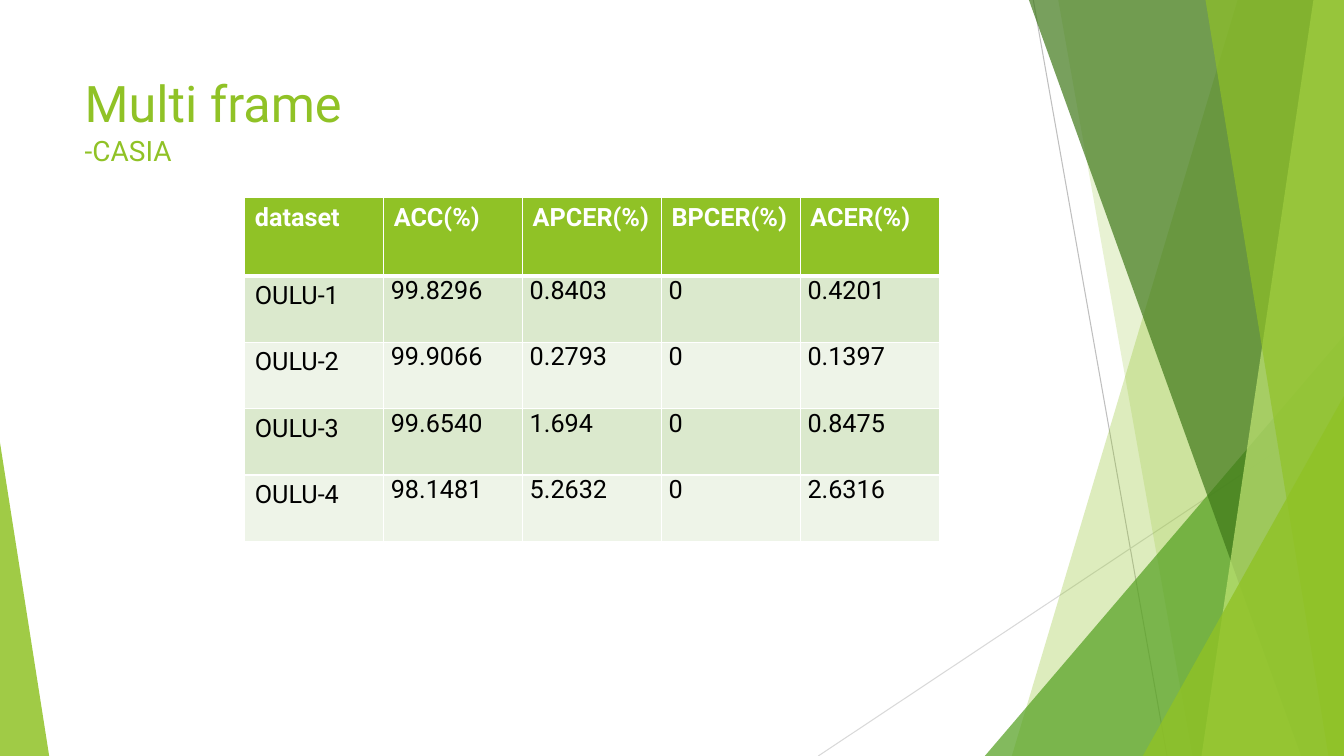
from pptx import Presentation
from pptx.dml.color import RGBColor
from pptx.enum.shapes import MSO_CONNECTOR, MSO_SHAPE
from pptx.enum.text import MSO_ANCHOR, MSO_AUTO_SIZE, PP_ALIGN
from pptx.oxml.ns import qn
from pptx.util import Cm, Pt
from lxml.etree import SubElement

SLIDE_W, SLIDE_H = 33.87, 19.05
FONT = "Roboto"
GREEN, WHITE, BLACK = "90C226", "FFFFFF", "000000"
BANDS = ["DBE9CD", "EEF4E8"]
RESULTS = [
    ["dataset", "ACC(%)", "APCER(%)", "BPCER(%)", "ACER(%)"],
    ["OULU-1", "99.8296", "0.8403", "0", "0.4201"],
    ["OULU-2", "99.9066", "0.2793", "0", "0.1397"],
    ["OULU-3", "99.6540", "1.694", "0", "0.8475"],
    ["OULU-4", "98.1481", "5.2632", "0", "2.6316"],
]


def rgb(color):
    return RGBColor.from_string(color)


def paint(shape, color, opacity):
    shape.shadow.inherit = False
    shape.line.fill.background()
    shape.fill.solid()
    shape.fill.fore_color.rgb = rgb(color)
    tint = shape.fill._xPr.find(qn("a:solidFill"))[0]
    SubElement(tint, qn("a:alpha"), val=str(opacity * 1000))


def add_ray(slide, start, end, color):
    ray = slide.shapes.add_connector(
        MSO_CONNECTOR.STRAIGHT, *[Cm(value) for value in start + end])
    ray.line.color.rgb = rgb(color)
    ray.line.width = Pt(0.75)
    SubElement(ray._element.spPr, qn("a:effectLst"))


def add_facet(slide, top_x, bottom_x, color, opacity):
    """Slanted panel that reaches the right edge of the slide."""
    builder = slide.shapes.build_freeform(Cm(top_x), 0)
    corners = [(SLIDE_W, 0), (SLIDE_W, SLIDE_H), (bottom_x, SLIDE_H)]
    builder.add_line_segments([(Cm(x), Cm(y)) for x, y in corners], close=True)
    paint(builder.convert_to_shape(), color, opacity)


def add_corner(slide, left, top, width, apex, color, opacity):
    """Right-angled triangle that stands on the bottom edge."""
    corner = slide.shapes.add_shape(
        MSO_SHAPE.ISOSCELES_TRIANGLE,
        Cm(left), Cm(top), Cm(width), Cm(SLIDE_H - top))
    corner.adjustments[0] = apex
    paint(corner, color, opacity)


def add_run(paragraph, text, size, color, bold=False):
    run = paragraph.add_run()
    run.text = text
    run.font.name = FONT
    run.font.size = Pt(size)
    run.font.bold = bold
    run.font.color.rgb = rgb(color)


def fill_title(slide, heading, subheading):
    title = slide.shapes.title
    title.left, title.top = Cm(1.88), Cm(1.7)
    title.width, title.height = Cm(23.88), Cm(3.66)
    frame = title.text_frame
    frame.auto_size = MSO_AUTO_SIZE.NONE
    frame.vertical_anchor = MSO_ANCHOR.TOP
    line = frame.paragraphs[0]
    line.alignment = PP_ALIGN.LEFT
    add_run(line, heading, 36, GREEN)
    line.add_line_break()
    add_run(line, subheading, 20, GREEN)


def add_borders(cell, top, bottom):
    properties = cell._tc.get_or_add_tcPr()
    for side, width in [("L", 1), ("R", 1), ("T", top), ("B", bottom)]:
        border = SubElement(properties, qn(f"a:ln{side}"), w=str(Pt(width)))
        SubElement(SubElement(border, qn("a:solidFill")),
                   qn("a:srgbClr"), val=WHITE)


def fill_cell(cell, text, row, column):
    header = row == 0
    add_borders(cell, top=3 if row == 1 else 1, bottom=3 if header else 1)
    cell.fill.solid()
    cell.fill.fore_color.rgb = rgb(GREEN if header else BANDS[(row - 1) % 2])
    if not header and column > 0:
        cell.margin_left = cell.margin_right = Cm(0.18)
        cell.margin_top = cell.margin_bottom = 0
    add_run(cell.text_frame.paragraphs[0], text, 18,
            WHITE if header else BLACK, bold=header)


def add_results(slide, rows):
    count = len(rows[0])
    heights = [1.98] + [1.67] * (len(rows) - 1)
    results = slide.shapes.add_table(
        len(rows), count, Cm(6.17), Cm(4.98),
        Cm(3.5 * count), Cm(sum(heights))).table
    for column in results.columns:
        column.width = Cm(3.5)
    for r, values in enumerate(rows):
        results.rows[r].height = Cm(heights[r])
        for c, value in enumerate(values):
            fill_cell(results.cell(r, c), value, r, c)


def add_backdrop(slide):
    add_ray(slide, (26.04, 0), (29.41, SLIDE_H), "BFBFBF")
    add_ray(slide, (SLIDE_W, 10.24), (20.62, SLIDE_H), "D9D9D9")
    add_facet(slide, 31.19, 25.5, GREEN, 30)
    add_facet(slide, 26.67, 30.05, GREEN, 20)
    add_corner(slide, 24.82, 8.46, 9.05, 1, "54A021", 72)
    add_facet(slide, 25.93, 32.79, "3F7819", 70)
    add_facet(slide, 33.1, 30.28, "C0E474", 70)
    add_facet(slide, 30.38, 33.48, GREEN, 65)
    add_corner(slide, 28.8, 9.98, 5.07, 1, GREEN, 80)
    add_corner(slide, 0, 11.15, 1.24, 0, GREEN, 85)


def main():
    deck = Presentation()
    deck.slide_width, deck.slide_height = Cm(SLIDE_W), Cm(SLIDE_H)
    slide = deck.slides.add_slide(deck.slide_layouts[5])

    # Green facets along the edges
    add_backdrop(slide)

    # Heading and results
    fill_title(slide, "Multi frame", "-CASIA")
    add_results(slide, RESULTS)

    deck.save("out.pptx")


if __name__ == "__main__":
    main()
